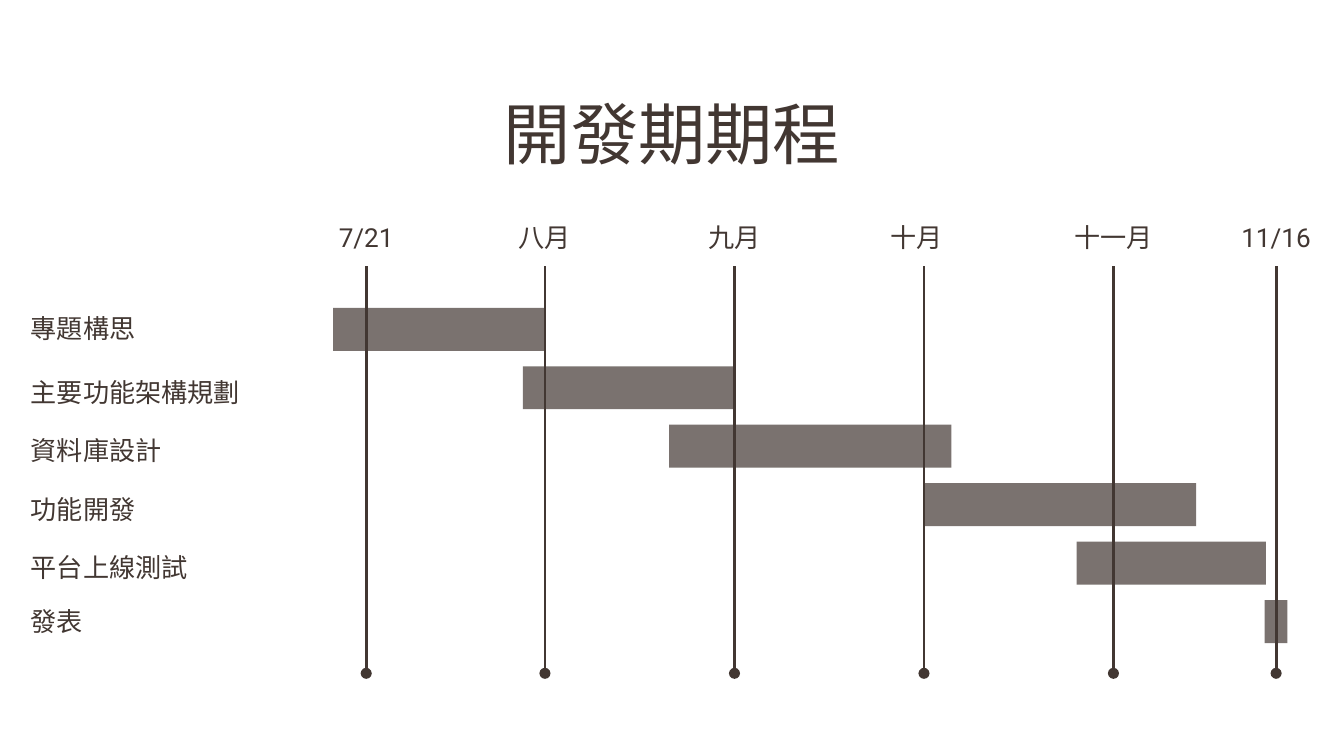
from itertools import accumulate

from lxml import etree
from pptx import Presentation
from pptx.dml.color import RGBColor
from pptx.enum.shapes import MSO_CONNECTOR as CONN, MSO_SHAPE as SHAPE
from pptx.enum.text import MSO_ANCHOR as ANCHOR, PP_ALIGN as ALIGN
from pptx.oxml.ns import qn
from pptx.util import Inches, Pt

DARK = "423732"
FONT = "Roboto"
LABEL_H = 0.43
ROW_H = 0.435

# Month label and column width
MONTHS = [("7/21", 1.25), ("八月", 1.41), ("九月", 1.41),
          ("十月\t", 1.41), ("十一月", 1.41), ("11/16", 1.01)]

# Task, bar start from the left of the timeline, bar length, text format
FIRST = {"anchor": ANCHOR.BOTTOM, "height": LABEL_H}
SPACED = {"line_spacing": 1.15}
TASKS = [("專題構思", 0.38, 1.57, FIRST),
         ("主要功能架構規劃", 1.79, 1.57, SPACED),
         ("資料庫設計", 2.88, 2.1, SPACED),
         ("功能開發", 4.78, 2.02, SPACED),
         ("平台上線測試", 5.91, 1.41, SPACED),
         ("發表", 7.31, 0.17, {})]


def color(hex_value):
    return RGBColor.from_string(hex_value)


def add_text(slide, box, text, size=14, anchor=ANCHOR.TOP, **para_format):
    sp = slide.shapes.add_textbox(*map(Inches, box))
    tf = sp.text_frame
    margins = ("margin_left", "margin_top", "margin_right", "margin_bottom")
    frame = {"word_wrap": True, "vertical_anchor": anchor,
             **dict.fromkeys(margins, Inches(0.1))}
    for name, value in frame.items():
        setattr(tf, name, value)
    p = tf.paragraphs[0]
    tabs = etree.SubElement(p._p.get_or_add_pPr(), qn("a:tabLst"))
    etree.SubElement(tabs, qn("a:tab"), pos="0", algn="l")
    for name, value in para_format.items():
        setattr(p, name, value)
    r = p.add_run()
    r.text = text
    for name, value in {"size": Pt(size), "name": FONT}.items():
        setattr(r.font, name, value)
    r.font.color.rgb = color(DARK)
    # East Asian glyphs take the same typeface
    etree.SubElement(r.font._element, qn("a:ea"), typeface=FONT)
    return sp


def add_month_line(slide, label, length):
    """Drop a line with a round end from the bottom of a month label."""
    x = label.left + label.width // 2
    y = label.top + label.height
    line = slide.shapes.add_connector(CONN.STRAIGHT, x, y, x, y + Inches(length))
    line.begin_connect(label, 2)
    line.line.color.rgb = color(DARK)
    line.line.width = Pt(1.5)
    etree.SubElement(line.line._get_or_add_ln(), qn("a:tailEnd"), type="oval")
    etree.SubElement(line._element.spPr, qn("a:effectLst"))


def add_bar(slide, box):
    sp = slide.shapes.add_shape(SHAPE.RECTANGLE, *map(Inches, box))
    sp.shadow.inherit = False
    sp.fill.solid()
    sp.fill.fore_color.rgb = color(DARK)
    sp.line.fill.background()
    rgb = sp._element.spPr.find(qn("a:solidFill")).find(qn("a:srgbClr"))
    etree.SubElement(rgb, qn("a:alpha"), val="70000")


def add_months(slide, box):
    left, top, _, height = box
    offsets = accumulate((width for _, width in MONTHS), initial=0)
    for (name, width), dx in zip(MONTHS, offsets):
        label = add_text(slide, (left + dx, top, width, LABEL_H), name,
                         anchor=ANCHOR.BOTTOM, alignment=ALIGN.CENTER)
        add_month_line(slide, label, height - LABEL_H)


def add_tasks(slide, box, timeline_dx):
    """Place a label and a bar per row; bars start from timeline_dx."""
    left, top, _, _ = box
    for i, (name, start, length, text_format) in enumerate(TASKS):
        y = top + i * ROW_H
        fmt = dict(text_format)
        label_h = fmt.pop("height", 0.47)
        add_text(slide, (left, y, 1.81, label_h), name, **fmt)
        add_bar(slide, (left + timeline_dx + start, y + 0.06, length, 0.32))


def main():
    prs = Presentation()
    prs.slide_width = Inches(10)
    prs.slide_height = prs.slide_width * 9 // 16
    slide = prs.slides.add_slide(prs.slide_layouts[6])
    add_text(slide, (0.78, 0.59, 8.44, 0.75), "開發期期程", size=36,
             alignment=ALIGN.CENTER)
    add_months(slide, (2.1, 1.55, 7.9, 3.46))
    add_tasks(slide, (0.13, 2.23, 9.87, 2.61), timeline_dx=1.97)
    prs.save("out.pptx")


if __name__ == "__main__":
    main()
